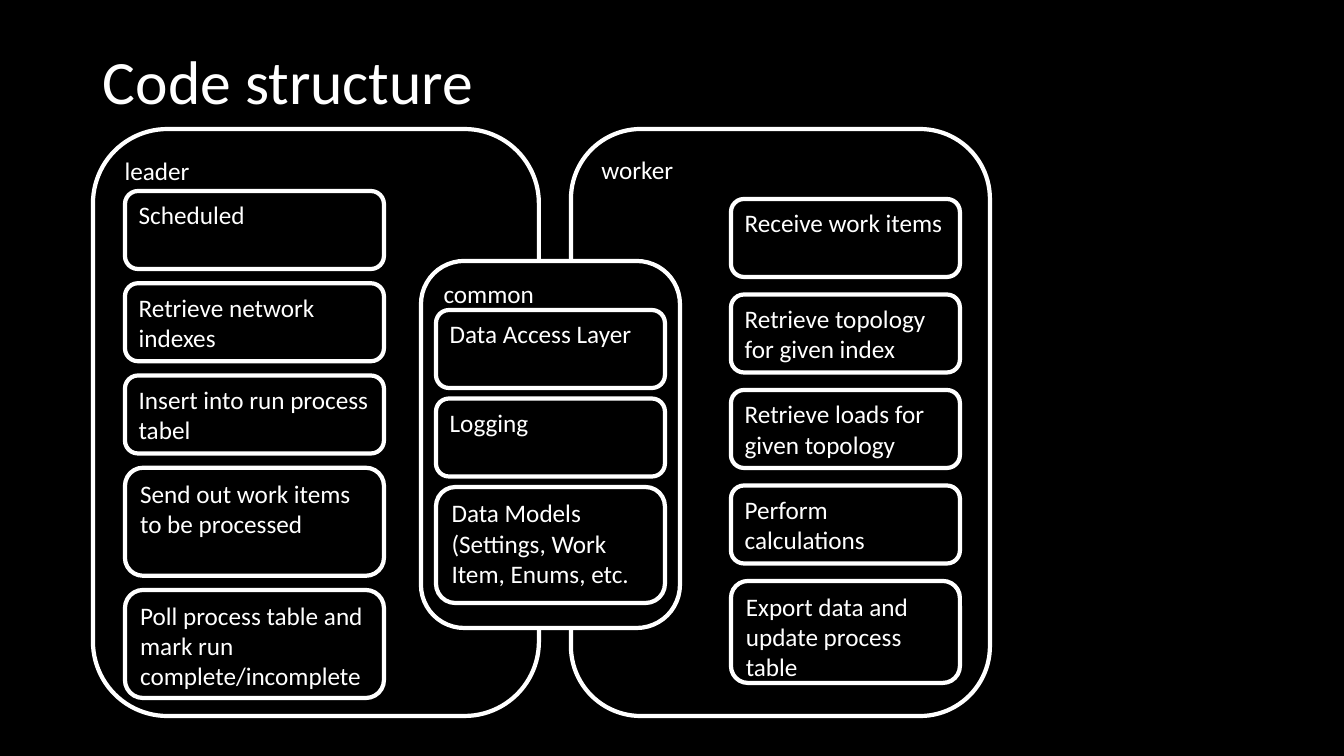
import pptx
import pptx.dml.color
import pptx.enum.shapes
import pptx.enum.text
import pptx.util

PIXEL = 914400 / 100.8
BLACK = pptx.dml.color.RGBColor(0x00, 0x00, 0x00)
WHITE = pptx.dml.color.RGBColor(0xFF, 0xFF, 0xFF)
ANCHOR = pptx.enum.text.MSO_ANCHOR


def px(length):
    return pptx.util.Emu(round(length * PIXEL))


def write(shape, text, size, anchor):
    frame = shape.text_frame
    frame.word_wrap = True
    frame.vertical_anchor = anchor
    paragraph = frame.paragraphs[0]
    paragraph.alignment = pptx.enum.text.PP_ALIGN.LEFT
    run = paragraph.add_run()
    run.text = text
    run.font.name = "Calibri"
    run.font.size = pptx.util.Pt(size)
    run.font.color.rgb = WHITE
    return paragraph


presentation = pptx.Presentation()
presentation.slide_width = px(1344)
presentation.slide_height = px(756)
slide = presentation.slides.add_slide(presentation.slide_layouts[6])
slide.background.fill.solid()
slide.background.fill.fore_color.rgb = BLACK

# Title
title = slide.shapes.add_textbox(px(93), px(40), px(1159), px(90))
write(title, "Code structure", 44, ANCHOR.MIDDLE).line_spacing = 0.9

# Modules: name, frame, fill, then step column (left, top, width, bottom)
# and the steps with their heights
modules = [
    ("leader", (93, 129, 446, 587), None, (125, 191, 259, 698), [
        ("Scheduled", 78),
        ("Retrieve network indexes", 78),
        ("Insert into run process tabel", 78),
        ("Send out work items to be processed", 108),
        ("Poll process table and mark run complete/incomplete", 108),
    ]),
    ("worker", (571, 129, 419, 587), None, (731, 199, 229, 683), [
        ("Receive work items", 78),
        ("Retrieve topology for given index", 78),
        ("Retrieve loads for given topology", 78),
        ("Perform calculations", 78),
        ("Export data and update process table", 102),
    ]),
    ("common", (421, 261, 259, 367), BLACK, (436, 310, 229, 603), [
        ("Data Access Layer", 78),
        ("Logging", 78),
        ("Data Models (Settings, Work Item, Enums, etc.", 116),
    ]),
]

for name, frame, fill, (left, top, width, bottom), steps in modules:
    # Steps share the leftover column height as equal gaps
    gap = (bottom - top - sum(height for _, height in steps)) / (len(steps) - 1)
    boxes = [(name, frame, fill)]
    for step, height in steps:
        boxes.append((step, (left, top, width, height), None))
        top += height + gap

    # Rounded boxes: the module frame first, its steps on top
    for text, place, color in boxes:
        shape = slide.shapes.add_shape(
            pptx.enum.shapes.MSO_SHAPE.ROUNDED_RECTANGLE, *map(px, place))
        shape.shadow.inherit = False
        if color is None:
            shape.fill.background()
        else:
            shape.fill.solid()
            shape.fill.fore_color.rgb = color
        shape.line.color.rgb = WHITE
        shape.line.width = pptx.util.Pt(3)
        write(shape, text, 18, ANCHOR.TOP)

presentation.save("out.pptx")
